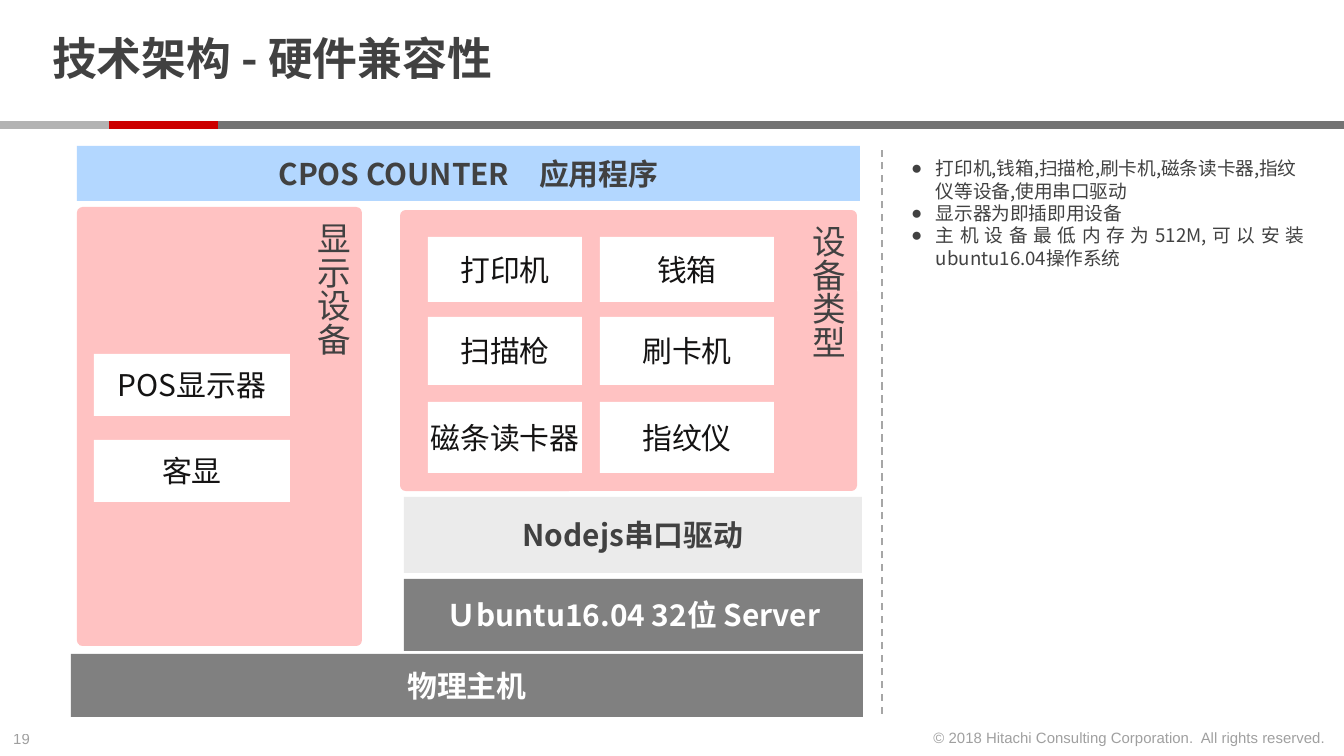
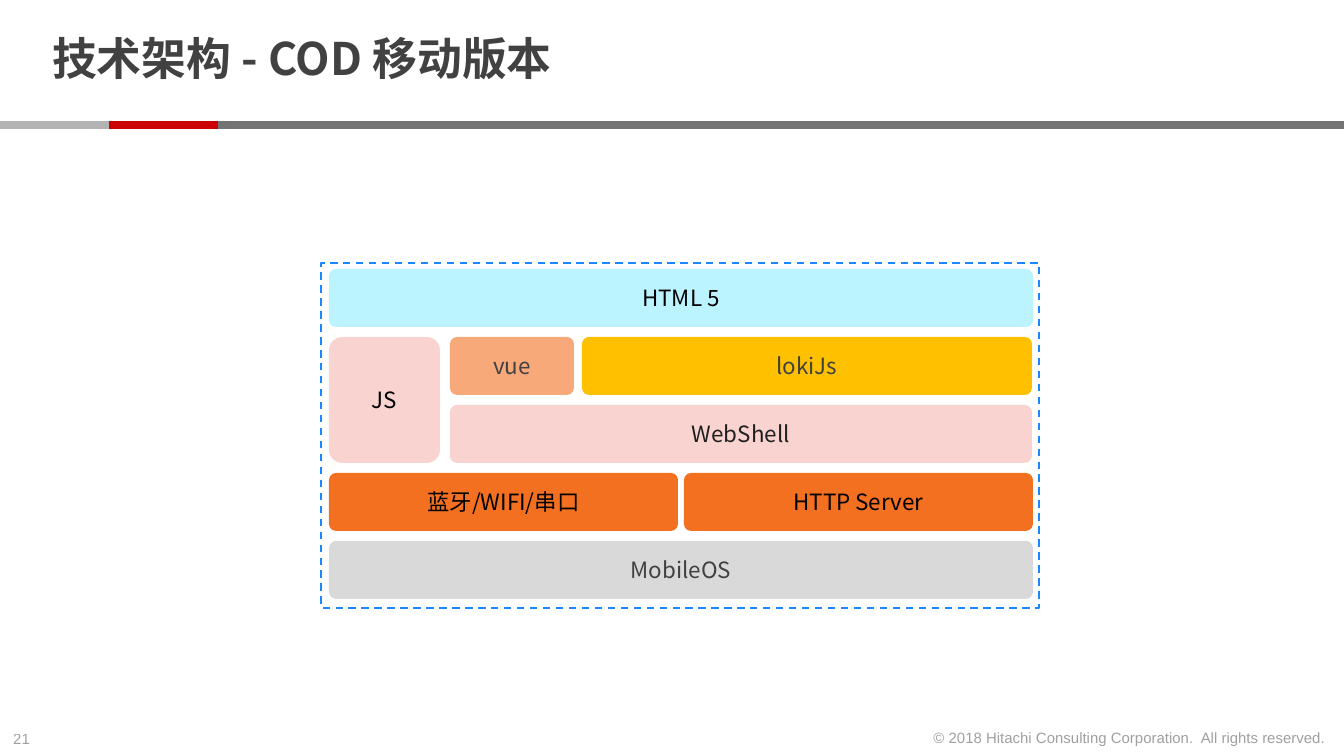
from lxml.etree import SubElement
from pptx import Presentation
from pptx.dml.color import RGBColor
from pptx.enum.dml import MSO_LINE as Dash
from pptx.enum.shapes import MSO_CONNECTOR as Link, MSO_SHAPE as Form
from pptx.enum.text import MSO_ANCHOR as Anchor, MSO_AUTO_SIZE as Fit, PP_ALIGN as Align
from pptx.oxml.ns import qn
from pptx.util import Pt

SCALE = 914400 / 134.4
SANS = "Noto Sans CJK SC"
INK = "414141"
WHITE = "FFFFFF"
PINK = "FFC2C2"
GRAY = "808080"
ROSE = "F9D3D0"
ORANGE = "F37021"
BLACK = "000000"
NOTICE = "© 2018 Hitachi Consulting Corporation.  All rights reserved."


def px(n):
    return round(n * SCALE)


def rgb(code):
    return RGBColor.from_string(code)


def write(para, text, size=16, color=INK, font=SANS, bold=False,
          align=Align.CENTER, alpha=None, lead=None):
    para.alignment = align
    if lead:
        para.line_spacing = lead
    run = para.add_run()
    run.text = text
    run.font.size = Pt(size)
    run.font.bold = bold
    run.font.name = font
    run.font.color.rgb = rgb(color)
    props = run._r.get_or_add_rPr()
    SubElement(props, qn("a:ea")).set("typeface", SANS)
    if alpha:
        tint = props.find(".//" + qn("a:srgbClr"))
        SubElement(tint, qn("a:alpha")).set("val", str(alpha * 1000))


def place(shape, x, y, w, h):
    shape.left, shape.top, shape.width, shape.height = map(px, (x, y, w, h))


def inset(frame, side, edge):
    frame.margin_left = frame.margin_right = px(side)
    frame.margin_top = frame.margin_bottom = px(edge)


def box(slide, x, y, w, h, fill=None, form=Form.RECTANGLE, curve=None):
    shape = slide.shapes.add_shape(form, *map(px, (x, y, w, h)))
    shape.shadow.inherit = False
    shape.line.fill.background()
    if fill:
        shape.fill.solid()
        shape.fill.fore_color.rgb = rgb(fill)
    else:
        shape.fill.background()
    if curve:
        shape.adjustments[0] = curve
    return shape


def dash(line, color):
    line.color.rgb = rgb(color)
    line.width = Pt(1)
    line.dash_style = Dash.DASH


def bar(slide, text, x, y, w, h, fill, color=INK):
    frame = box(slide, x, y, w, h, fill).text_frame
    frame.vertical_anchor = Anchor.MIDDLE
    write(frame.paragraphs[0], text, color=color, bold=True)


def card(slide, text, x, y, w, h):
    frame = box(slide, x, y, w, h, WHITE).text_frame
    frame.vertical_anchor = Anchor.MIDDLE
    inset(frame, 0, 7)
    write(frame.paragraphs[0], text, color="141313")


def panel(slide, text, x, y, w, h):
    frame = box(slide, x, y, w, h, PINK, Form.ROUNDED_RECTANGLE, 0.02).text_frame
    frame.vertical_anchor = Anchor.TOP
    frame._txBody.bodyPr.set("vert", "eaVert")
    write(frame.paragraphs[0], text, size=18, font="Arial", align=Align.LEFT)


def tile(slide, text, x, y, w, h, fill, color):
    frame = box(slide, x, y, w, h, fill, Form.ROUNDED_RECTANGLE, 0.12).text_frame
    frame.vertical_anchor = Anchor.MIDDLE
    frame.word_wrap = False
    write(frame.paragraphs[0], text, size=12, color=color)


def label(slide, text, x, y, w, h, align):
    frame = slide.shapes.add_textbox(*map(px, (x, y, w, h))).text_frame
    frame.word_wrap = False
    frame.auto_size = Fit.SHAPE_TO_FIT_TEXT
    write(frame.paragraphs[0], text, size=8, font="Arial", align=align, alpha=50)


def bullets(body, items):
    place(body, 898, 150, 419, 148)
    frame = body.text_frame
    frame.auto_size = Fit.SHAPE_TO_FIT_TEXT
    frame.word_wrap = True
    inset(frame, 13, 7)
    for i, text in enumerate(items):
        para = frame.add_paragraph() if i else frame.paragraphs[0]
        props = para._p.get_or_add_pPr()
        props.set("marL", str(px(25)))
        props.set("indent", str(px(-25)))
        SubElement(props, qn("a:buChar")).set("char", "●")
        para.space_before = Pt(0)
        write(para, text, size=10, align=Align.JUSTIFY if i else Align.LEFT)


def start(deck, layout, title, page):
    slide = deck.slides.add_slide(deck.slide_layouts[layout])
    for x, w, fill in ((218, 1126, "737373"), (109, 109, "CC0000"), (0, 109, "B3B3B3")):
        box(slide, x, 121, w, 8, fill)
    label(slide, page, 0, 723, 46, 32, Align.LEFT)
    label(slide, NOTICE, 914, 722, 425, 32, Align.RIGHT)
    head = slide.shapes.title
    place(head, 39, 8, 1036, 108)
    frame = head.text_frame
    frame.auto_size = Fit.NONE
    frame.vertical_anchor = Anchor.MIDDLE
    inset(frame, 13, 0)
    write(frame.paragraphs[0], title, size=24, bold=True, align=Align.LEFT, lead=0.85)
    return slide


def hardware(deck):
    slide = start(deck, 1, "技术架构 - 硬件兼容性", "19")
    rule = slide.shapes.add_connector(Link.STRAIGHT, *map(px, (882, 714, 882, 150)))
    dash(rule.line, "A6A6A6")
    SubElement(rule._element.spPr, qn("a:effectLst"))

    panel(slide, "设备类型", 400, 210, 457, 281)
    names = (("打印机", "钱箱"), ("扫描枪", "刷卡机"), ("磁条读卡器", "指纹仪"))
    rows = ((237, 65), (317, 68), (402, 71))
    for (left, right), (y, h) in zip(names, rows):
        card(slide, left, 428, y, 154, h)
        card(slide, right, 600, y, 174, h)

    bar(slide, "CPOS COUNTER　应用程序", 77, 146, 783, 55, "B3D7FF")
    bar(slide, "Nodejs串口驱动", 404, 497, 458, 76, "EBEBEB")
    bar(slide, "Ｕbuntu16.04 32位 Server", 404, 579, 459, 72, GRAY, WHITE)
    bar(slide, "物理主机", 71, 654, 792, 63, GRAY, WHITE)

    panel(slide, "显示设备", 77, 207, 285, 439)
    for i, text in enumerate(("POS显示器", "客显")):
        card(slide, text, 94, 354 + 86 * i, 196, 62)

    bullets(slide.placeholders[1], (
        "打印机,钱箱,扫描枪,刷卡机,磁条读卡器,指纹仪等设备,使用串口驱动",
        "显示器为即插即用设备",
        "主机设备最低内存为512M,可以安装ubuntu16.04操作系统",
    ))


def mobile(deck):
    slide = start(deck, 5, "技术架构 - COD 移动版本", "21")
    step, tall = 68, 58
    tiles = (
        ("JS", 0, 2, 329, 111, ROSE, BLACK),
        ("vue", 1, 1, 450, 124, "F8A97A", INK),
        ("lokiJs", 1, 1, 582, 450, "FFC000", INK),
        ("HTML 5", 0, 1, 329, 704, "BBF4FF", BLACK),
        ("蓝牙/WIFI/串口", 3, 1, 329, 349, ORANGE, BLACK),
        ("WebShell", 2, 1, 450, 582, ROSE, "202020"),
        ("MobileOS", 4, 1, 329, 704, "D9D9D9", INK),
        ("HTTP Server", 3, 1, 684, 349, ORANGE, BLACK),
    )
    for text, row, span, x, w, fill, color in tiles:
        row = 1 if span == 2 else row
        tile(slide, text, x, 269 + step * row, w, tall + step * (span - 1), fill, color)
    dash(box(slide, 321, 263, 718, 345).line, "1B88FF")


def main():
    deck = Presentation()
    deck.slide_width, deck.slide_height = px(1344), px(756)
    hardware(deck)
    mobile(deck)
    deck.save("out.pptx")


if __name__ == "__main__":
    main()
